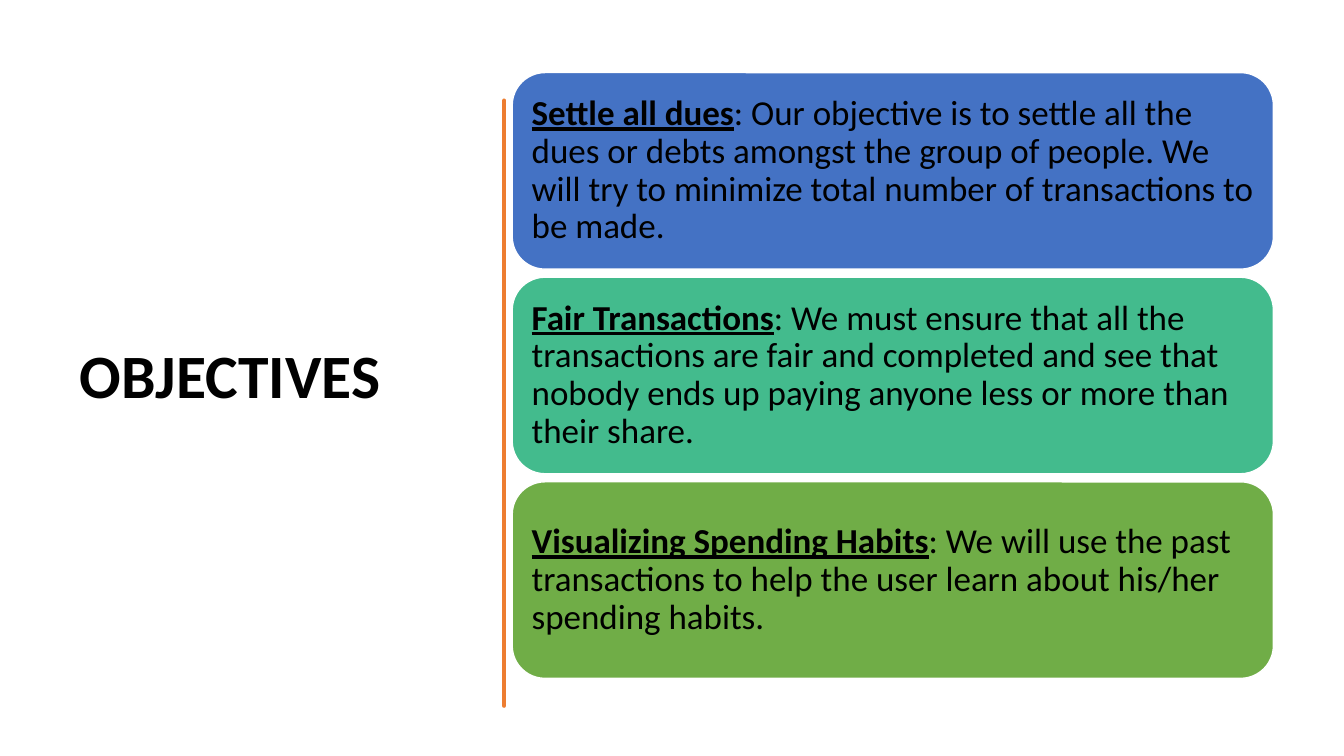
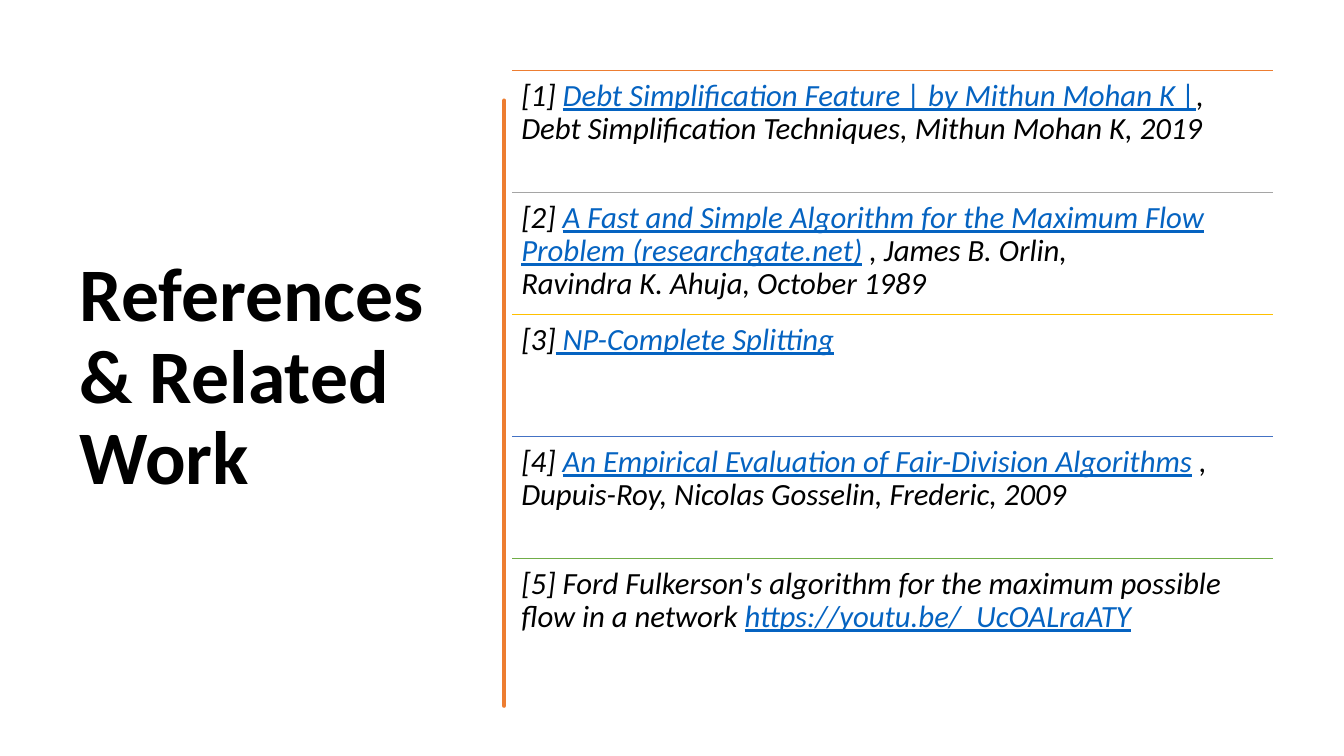
"""Build the objectives and references slides."""
from dataclasses import dataclass

from lxml.etree import SubElement
from pptx import Presentation
from pptx.dml.color import RGBColor
from pptx.enum.shapes import MSO_CONNECTOR, MSO_SHAPE
from pptx.enum.text import MSO_ANCHOR, MSO_AUTO_SIZE, PP_ALIGN
from pptx.oxml.ns import qn
from pptx.util import Inches, Pt


@dataclass(frozen=True)
class Theme:
    font: str = "Calibri"
    ink: str = "000000"
    white: str = "FFFFFF"
    link: str = "0563C1"
    orange: str = "ED7D31"
    grey: str = "A5A5A5"
    gold: str = "FFC000"
    blue: str = "4472C4"
    teal: str = "43BB8D"
    green: str = "70AD47"
    short_title_size: int = 44
    long_title_size: int = 54
    objective_size: int = 25
    reference_size: int = 22
    spacing: float = 0.9
    left: float = 5.08
    width: float = 7.55


T = Theme()

DIVIDER = [
    (4.75, 0.84), (4.76, 1.15), (4.75, 1.46), (4.74, 1.85), (4.75, 2.26),
    (4.75, 2.94), (4.76, 3.3), (4.75, 3.56), (4.76, 4), (4.75, 4.36),
    (4.73, 4.7), (4.75, 5.1), (4.76, 5.5), (4.75, 5.84), (4.75, 6.76),
    (4.73, 6.76), (4.72, 6.4), (4.73, 6.13), (4.73, 5.57), (4.72, 5.1),
    (4.73, 4.77), (4.72, 4.4), (4.73, 4.15), (4.72, 3.8), (4.73, 3.35),
    (4.72, 2.9), (4.73, 2.5), (4.74, 2.1), (4.72, 1.75), (4.73, 1.4),
    (4.73, 0.84),
]

OBJECTIVES = [
    (T.blue, "Settle all dues",
     ": Our objective is to settle all the dues or debts amongst the group of "
     "people. We will try to minimize total number of transactions to be made."),
    (T.teal, "Fair Transactions",
     ": We must ensure that all the transactions are fair and completed and see "
     "that nobody ends up paying anyone less or more than their share."),
    (T.green, "Visualizing Spending Habits",
     ": We will use the past transactions to help the user learn about his/her "
     "spending habits."),
]

REFERENCES = [
    (T.orange, "[1] ", "Debt Simplification Feature | by Mithun Mohan K |",
     ", Debt Simplification Techniques, Mithun Mohan K, 2019"),
    (T.grey, "[2] ",
     "A Fast and Simple Algorithm for the Maximum Flow Problem (researchgate.net)",
     " , James B. Orlin,\nRavindra K. Ahuja, October 1989"),
    (T.gold, "[3]", " NP-Complete Splitting", ""),
    (T.blue, "[4] ", "An Empirical Evaluation of Fair-Division Algorithms",
     " , Dupuis-Roy, Nicolas Gosselin, Frederic, 2009"),
    (T.green,
     "[5] Ford Fulkerson's algorithm for the maximum possible flow in a network ",
     "https://youtu.be/_UcOALraATY", ""),
]


def rgb(value):
    return RGBColor.from_string(value)


def box(*lengths):
    return [Inches(v) for v in lengths]


class Deck:
    def __init__(self, theme):
        self.theme = theme
        self.prs = Presentation()
        self.prs.slide_width, self.prs.slide_height = box(13.33, 7.5)
        self.s = None

    def slide(self, title, size):
        self.s = self.prs.slides.add_slide(self.prs.slide_layouts[5])
        sp = self.s.shapes.title
        sp.left, sp.top, sp.width, sp.height = box(0.69, 0.7, 3.74, 6.11)
        self.set_text(sp.text_frame, [(title, {"bold": True})], size,
                      MSO_ANCHOR.MIDDLE)
        self.divider()

    def divider(self):
        fb = self.s.shapes.build_freeform(*DIVIDER[0], scale=Inches(1))
        fb.add_line_segments(DIVIDER[1:], close=True)
        self.paint(fb.convert_to_shape(), self.theme.orange,
                   self.theme.orange, 3.25)

    def paint(self, sp, fill, line, weight):
        sp.shadow.inherit = False
        sp.fill.solid()
        sp.fill.fore_color.rgb = rgb(fill)
        sp.line.color.rgb = rgb(line)
        sp.line.width = Pt(weight)

    def set_text(self, tf, runs, size, anchor, inset=0.1):
        frame = {"word_wrap": True, "auto_size": MSO_AUTO_SIZE.NONE,
                 "vertical_anchor": anchor}
        for side in ("left", "right", "top", "bottom"):
            frame[f"margin_{side}"] = Inches(inset)
        for name, value in frame.items():
            setattr(tf, name, value)
        p = tf.paragraphs[0]
        p.alignment = PP_ALIGN.LEFT
        p.line_spacing = self.theme.spacing
        for text, style in runs:
            self.add_run(p, text, size, style)

    def add_run(self, p, text, size, style):
        values = {"name": self.theme.font, "size": Pt(size), **style}
        color = values.pop("color", self.theme.ink)
        for i, part in enumerate(text.split("\n")):
            if i:
                p.add_line_break()
            r = p.add_run()
            r.text = part
            r.font.color.rgb = rgb(color)
            for name, value in values.items():
                setattr(r.font, name, value)

    def card(self, top, height, fill, runs):
        sp = self.s.shapes.add_shape(
            MSO_SHAPE.ROUNDED_RECTANGLE,
            *box(self.theme.left, top, self.theme.width, height))
        self.paint(sp, fill, self.theme.white, 1)
        self.set_text(sp.text_frame, runs, self.theme.objective_size,
                      MSO_ANCHOR.MIDDLE)

    def rule(self, top, color):
        left, right = self.theme.left, self.theme.left + self.theme.width
        c = self.s.shapes.add_connector(MSO_CONNECTOR.STRAIGHT,
                                        *box(left, top, right, top))
        c.line.color.rgb = rgb(color)
        c.line.width = Pt(1)
        SubElement(c._element.spPr, qn("a:effectLst"))

    def entry(self, top, height, color, runs):
        self.rule(top, color)
        tb = self.s.shapes.add_textbox(
            *box(self.theme.left, top, self.theme.width, height))
        self.set_text(tb.text_frame, runs, self.theme.reference_size,
                      MSO_ANCHOR.TOP, 0.09)


def main():
    deck = Deck(T)

    deck.slide("OBJECTIVES", T.short_title_size)
    heading = {"bold": True, "underline": True}
    for i, (fill, name, detail) in enumerate(OBJECTIVES):
        deck.card(0.72 + i * 2.03, 1.95, fill, [(name, heading), (detail, {})])

    deck.slide("References & Related Work", T.long_title_size)
    plain = {"italic": True}
    link = {"italic": True, "underline": True, "color": T.link}
    for i, (color, lead, source, rest) in enumerate(REFERENCES):
        runs = [(lead, plain), (source, link), (rest, plain)]
        deck.entry(0.7 + i * 1.21, 1.21, color, [r for r in runs if r[0]])

    deck.prs.save("out.pptx")


if __name__ == "__main__":
    main()
